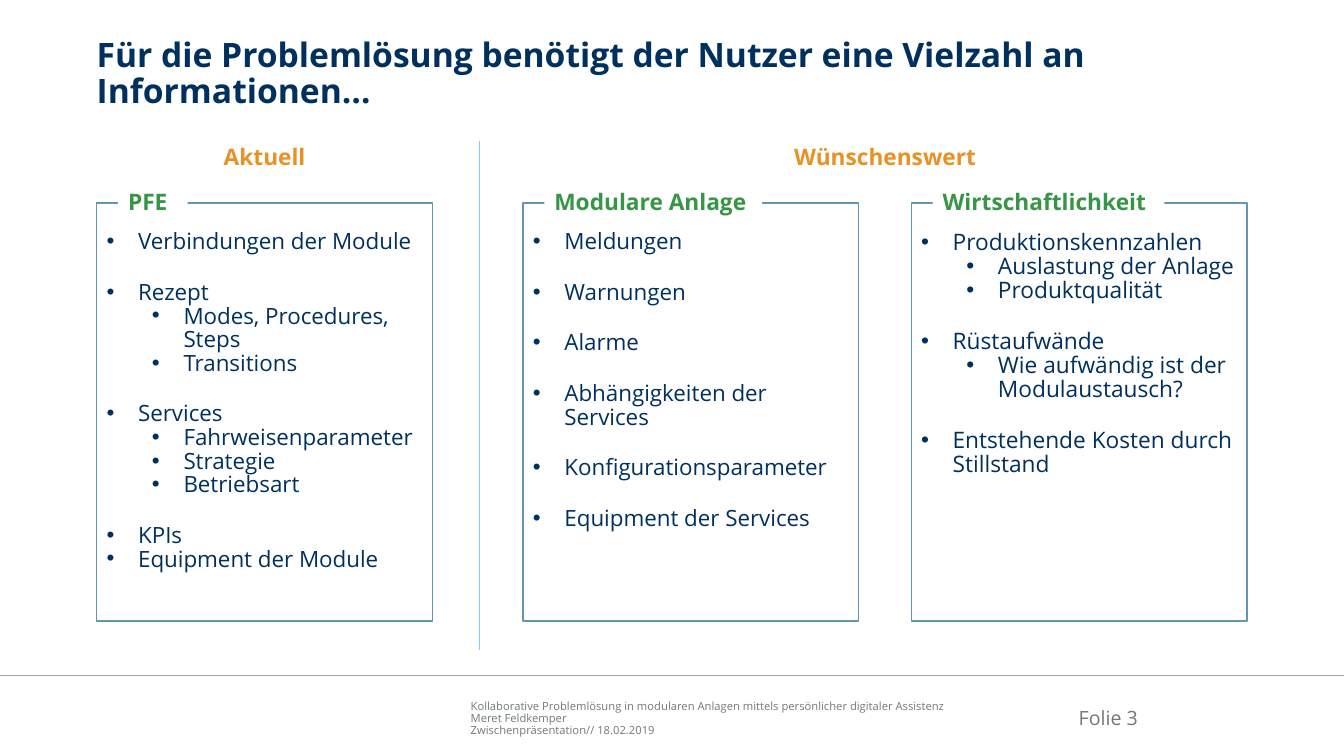
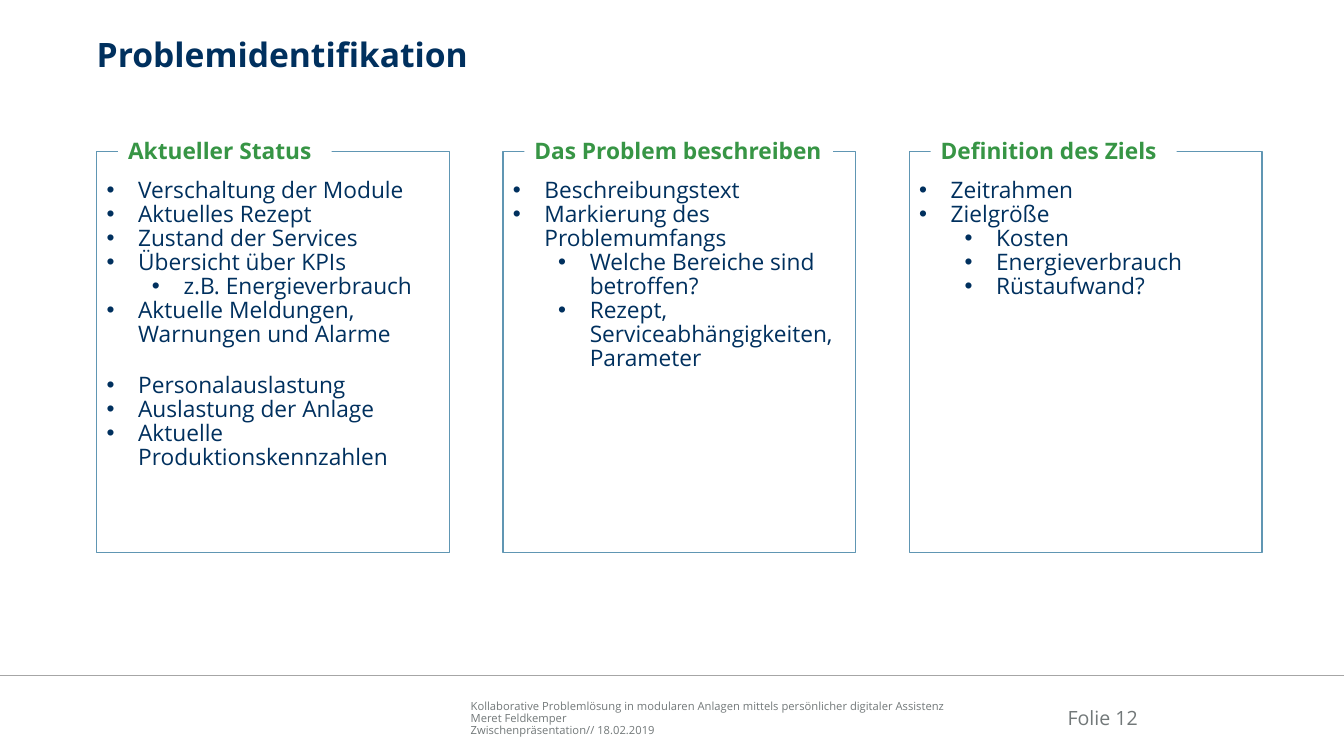
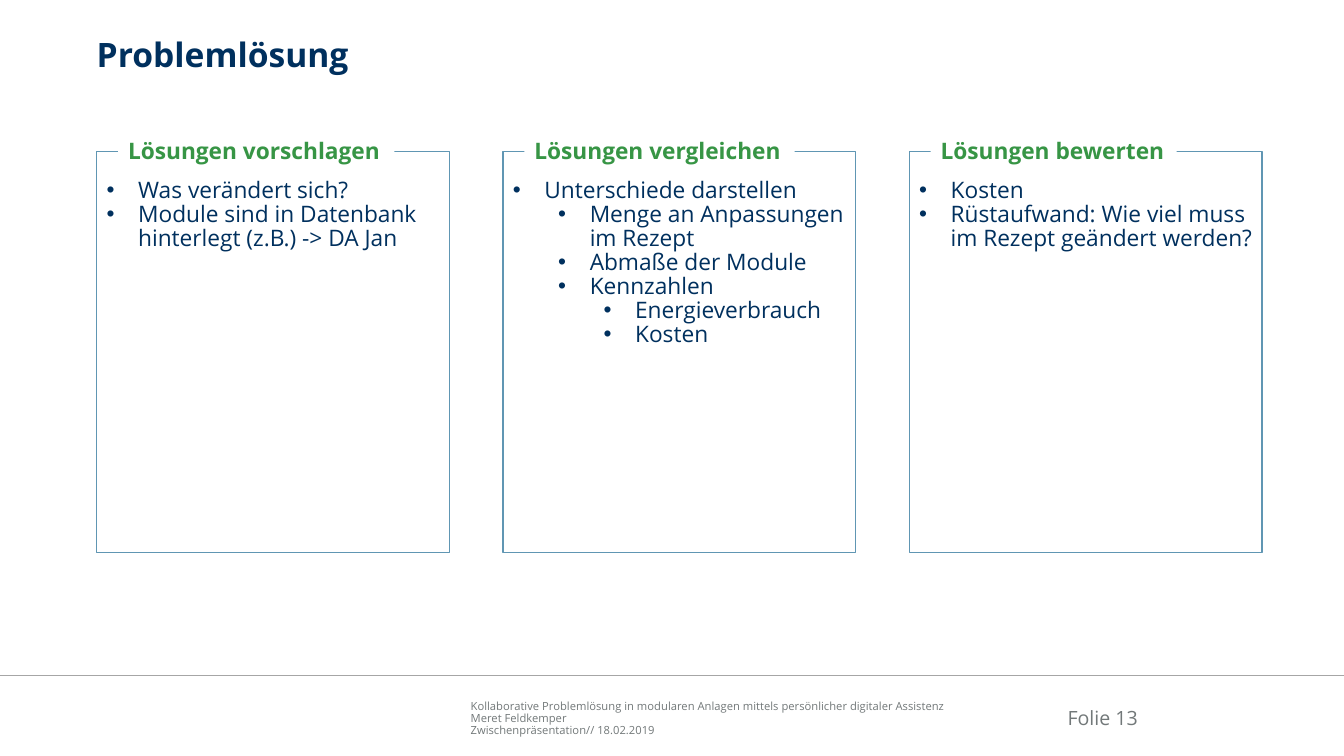
"""Build three slides of titled information panels."""
from dataclasses import dataclass

from lxml.etree import SubElement
from pptx import Presentation
from pptx.dml.color import RGBColor
from pptx.enum.shapes import MSO_CONNECTOR as Connector, MSO_SHAPE as Shape
from pptx.enum.text import MSO_ANCHOR as Anchor, PP_ALIGN as Align
from pptx.oxml.ns import qn
from pptx.util import Pt


@dataclass(frozen=True)
class Theme:
    """Colours, type sizes and spacing."""
    font: str = "Open Sans"
    navy: str = "00305E"
    green: str = "379545"
    orange: str = "E89124"
    grey: str = "727879"
    rule: str = "A6A6A6"
    frame: str = "6096B3"
    divider: str = "82CBF2"
    white: str = "FFFFFF"
    title: float = 24
    body: float = 16.2
    compact: float = 16
    number: float = 14
    footer: float = 8
    title_spacing: float = 0.9
    spacing: float = 0.88
    gap: float = 1.2


THEME = Theme()
WIDTH, HEIGHT = 960, 540
LEFT = 69.1
RULE_TOP = 482.4
HANG, LEVEL_STEP = 22.5, 32.4
LABEL_SHIFT = 15.3
ZERO_INSETS = (0, 0, 0, 0)
TEXT_INSETS = (7.2, 3.6, 7.2, 3.6)
PANEL_INSETS = (7.2, 20, 7.2, 3.6)

FOOTER = [
    "Kollaborative Problemlösung in modularen Anlagen mittels persönlicher digitaler Assistenz",
    "Meret Feldkemper",
    "Zwischenpräsentation// 18.02.2019",
]

OVERVIEW = {"lefts": [LEFT, 373.6, 650.9], "top": 145, "width": 239.8, "height": 298.6,
            "label_rise": 13.2, "label_height": 27}
STEPS = {"lefts": [LEFT + 290.2 * column for column in range(3)], "top": 108, "width": 252,
         "height": 286.6, "label_rise": 13.7, "label_height": 29.5}

SLIDES = [
    {"number": 3, "grid": OVERVIEW,
     "title": "Für die Problemlösung benötigt der Nutzer eine Vielzahl an Informationen…",
     "headings": [("Aktuell", 0, 0, 73.4), ("Wünschenswert", 1, 2, 145.4)],
     "divider": (342.7, 100.8, 464.4),
     "panels": [
         ("PFE", 49.7, THEME.compact, [
             [(0, "Verbindungen der Module")],
             [(0, "Rezept"), (1, "Modes, Procedures, Steps"), (1, "Transitions")],
             [(0, "Services"), (1, "Fahrweisenparameter"), (1, "Strategie"), (1, "Betriebsart")],
             [(0, "KPIs"), (0, "Equipment der Module")]]),
         ("Modulare Anlage", 155.5, THEME.compact, [
             [(0, "Meldungen")], [(0, "Warnungen")], [(0, "Alarme")],
             [(0, "Abhängigkeiten der Services")],
             [(0, "Konfigurationsparameter")], [(0, "Equipment der Services")]]),
         ("Wirtschaftlichkeit", 165.6, THEME.body, [
             [(0, "Produktionskennzahlen"), (1, "Auslastung der Anlage"), (1, "Produktqualität")],
             [(0, "Rüstaufwände"), (1, "Wie aufwändig ist der Modulaustausch?")],
             [(0, "Entstehende Kosten durch Stillstand")]]),
     ]},
    {"number": 12, "grid": STEPS, "title": "Problemidentifikation",
     "panels": [
         ("Aktueller Status", 152.6, THEME.body, [
             [(0, "Verschaltung der Module"), (0, "Aktuelles Rezept"),
              (0, "Zustand der Services"), (0, "Übersicht über KPIs"),
              (1, "z.B. Energieverbrauch"), (0, "Aktuelle Meldungen, Warnungen und Alarme")],
             [(0, "Personalauslastung"), (0, "Auslastung der Anlage"),
              (0, "Aktuelle Produktionskennzahlen")]]),
         ("Das Problem beschreiben", 220.3, THEME.body, [
             [(0, "Beschreibungstext"), (0, "Markierung des Problemumfangs"),
              (1, "Welche Bereiche sind betroffen?"),
              (1, "Rezept, Serviceabhängigkeiten, Parameter")]]),
         ("Definition des Ziels", 175.7, THEME.body, [
             [(0, "Zeitrahmen"), (0, "Zielgröße"), (1, "Kosten"),
              (1, "Energieverbrauch"), (1, "Rüstaufwand?")]]),
     ]},
    {"number": 13, "grid": STEPS, "title": "Problemlösung",
     "panels": [
         ("Lösungen vorschlagen", 197.3, THEME.body, [
             [(0, "Was verändert sich?"),
              (0, "Module sind in Datenbank hinterlegt (z.B.) -> DA Jan")]]),
         ("Lösungen vergleichen", 193, THEME.body, [
             [(0, "Unterschiede darstellen"), (1, "Menge an Anpassungen im Rezept"),
              (1, "Abmaße der Module"), (1, "Kennzahlen"),
              (2, "Energieverbrauch"), (2, "Kosten")]]),
         ("Lösungen bewerten", 175.7, THEME.body, [
             [(0, "Kosten"), (0, "Rüstaufwand: Wie viel muss im Rezept geändert werden?")]]),
     ]},
]


def apply(target, values):
    """Set each named attribute on the target."""
    for name, value in values.items():
        setattr(target, name, value)


def style_frame(frame, insets, anchor=Anchor.TOP, wrap=True):
    """Set margins, anchor and wrapping of a text frame."""
    sides = ("margin_left", "margin_top", "margin_right", "margin_bottom")
    apply(frame, dict(zip(sides, map(Pt, insets))))
    apply(frame, {"vertical_anchor": anchor, "word_wrap": wrap})


def write(frame, lines, size, color, bold=False, align=Align.LEFT, spacing=THEME.spacing):
    """Write one styled paragraph per line and return the paragraphs."""
    paragraphs = []
    for index, line in enumerate(lines):
        paragraph = frame.add_paragraph() if index else frame.paragraphs[0]
        apply(paragraph, {"alignment": align, "line_spacing": spacing,
                          "space_before": Pt(0), "space_after": Pt(0)})
        run = paragraph.add_run()
        run.text = line
        apply(run.font, {"name": THEME.font, "size": Pt(size), "bold": bold})
        run.font.color.rgb = RGBColor.from_string(color)
        paragraphs.append(paragraph)
    return paragraphs


def add_text(slide, box, lines, size, color, insets=ZERO_INSETS, anchor=Anchor.TOP,
             wrap=True, **style):
    """Add a text box."""
    frame = slide.shapes.add_textbox(*map(Pt, box)).text_frame
    style_frame(frame, insets, anchor, wrap)
    write(frame, lines, size, color, **style)


def add_line(slide, ends, color, width):
    """Add a straight line without shadow."""
    line = slide.shapes.add_connector(Connector.STRAIGHT, *map(Pt, ends))
    line.line.color.rgb = RGBColor.from_string(color)
    line.line.width = Pt(width)
    SubElement(line._element.spPr, qn("a:effectLst"))


def add_box(slide, box, outline=None):
    """Add a white rectangle with an optional outline."""
    shape = slide.shapes.add_shape(Shape.RECTANGLE, *map(Pt, box))
    shape.shadow.inherit = False
    shape.fill.solid()
    shape.fill.fore_color.rgb = RGBColor.from_string(THEME.white)
    if outline:
        shape.line.color.rgb = RGBColor.from_string(outline)
        shape.line.width = Pt(1)
    else:
        shape.line.fill.background()
    return shape


def add_bullet(paragraph, level):
    """Give a paragraph a hanging bullet at its level."""
    paragraph.level = level
    properties = paragraph._p.get_or_add_pPr()
    properties.set("marL", str(Pt(HANG + LEVEL_STEP * level)))
    properties.set("indent", str(-Pt(HANG)))
    SubElement(properties, qn("a:buFont"), typeface="Arial")
    SubElement(properties, qn("a:buChar"), char="•")


def add_panel(slide, grid, left, panel):
    """Add a framed bullet list with a label set into its top edge."""
    label, label_width, size, blocks = panel
    frame = add_box(slide, (left, grid["top"], grid["width"], grid["height"]),
                    THEME.frame).text_frame
    style_frame(frame, PANEL_INSETS)
    items = [item for block in blocks for item in block]
    paragraphs = iter(write(frame, [text for _, text in items], size, THEME.navy))
    for block_index, block in enumerate(blocks):
        for item_index, (level, _) in enumerate(block):
            paragraph = next(paragraphs)
            if block_index and not item_index:
                paragraph.space_before = Pt(size * THEME.gap)
            add_bullet(paragraph, level)
    tag = add_box(slide, (left + LABEL_SHIFT, grid["top"] - grid["label_rise"],
                          label_width, grid["label_height"])).text_frame
    style_frame(tag, TEXT_INSETS, Anchor.MIDDLE)
    write(tag, [label], THEME.body, THEME.green, bold=True)


def add_common(slide, title, number):
    """Add the title, footer and slide number."""
    add_text(slide, (336.2, 497.5, 353.5, 28.8), FOOTER, THEME.footer, THEME.grey,
             anchor=Anchor.BOTTOM)
    add_line(slide, (0, RULE_TOP, WIDTH, RULE_TOP), THEME.rule, 1)
    add_text(slide, (741.6, 494.6, 71.3, 26.6), [f"Folie {number}"], THEME.number, THEME.grey,
             anchor=Anchor.BOTTOM, align=Align.RIGHT)
    add_text(slide, (LEFT, 27.4, 833, 54), [title], THEME.title, THEME.navy,
             bold=True, spacing=THEME.title_spacing)


def add_headings(slide, grid, headings):
    """Centre each heading over the panels it covers."""
    for text, first, last, width in headings:
        centre = (grid["lefts"][first] + grid["lefts"][last] + grid["width"]) / 2
        add_text(slide, (centre - width / 2, 100.8, width, 26.6), [text], THEME.body,
                 THEME.orange, insets=TEXT_INSETS, wrap=False, bold=True, align=Align.CENTER)


def main():
    """Create and save the presentation."""
    presentation = Presentation()
    apply(presentation, {"slide_width": Pt(WIDTH), "slide_height": Pt(HEIGHT)})
    for content in SLIDES:
        slide = presentation.slides.add_slide(presentation.slide_layouts[6])
        grid = content["grid"]
        add_common(slide, content["title"], content["number"])
        add_headings(slide, grid, content.get("headings", []))
        if "divider" in content:
            left, top, bottom = content["divider"]
            add_line(slide, (left, top, left, bottom), THEME.divider, 0.5)
        for left, panel in zip(grid["lefts"], content["panels"]):
            add_panel(slide, grid, left, panel)
    presentation.save("out.pptx")


if __name__ == "__main__":
    main()
